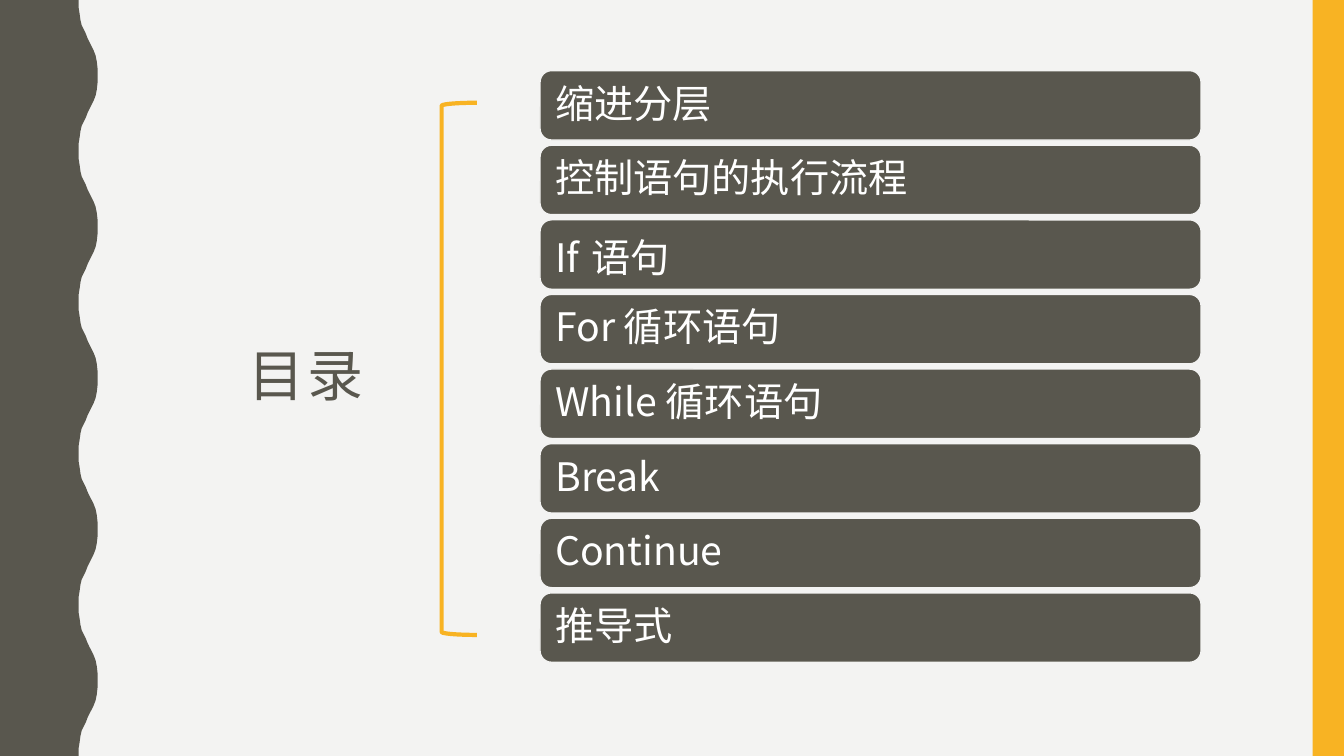
from lxml.etree import SubElement
from pptx import Presentation
from pptx.dml.color import RGBColor
from pptx.enum.shapes import MSO_SHAPE as Preset
from pptx.enum.text import MSO_ANCHOR as Anchor, PP_ALIGN as Align
from pptx.oxml.ns import qn
from pptx.util import Cm, Pt

# Content: each topic is a list of (text, size) runs
TITLE = "目录"
TOPICS = [
    [("缩进分层", 28)],
    [("控制语句的执行流程", 28)],
    [("If", 28), (" ", 39), ("语句", 28)],
    [("For 循环语句", 28)],
    [("While 循环语句", 28)],
    [("Break", 28)],
    [("Continue", 28)],
    [("推导式", 28)],
]

# Style
FONT = "Noto Sans CJK SC"
PAPER = RGBColor(0xF3, 0xF3, 0xF2)
BROWN = RGBColor(0x59, 0x57, 0x4E)
YELLOW = RGBColor(0xF8, 0xB3, 0x23)
WHITE = RGBColor(0xFF, 0xFF, 0xFF)

# Layout in centimetres
WIDTH, HEIGHT = 33.87, 19.05
BAR_LEFT, BAR_TOP, BAR_WIDTH, BAR_HEIGHT, BAR_STEP = 13.61, 1.78, 16.66, 1.75, 1.88
STRIPE_WIDTH = 0.79
WAVE_COUNT = 5
WAVE_LENGTH = HEIGHT / WAVE_COUNT
HALF_WAVE = [
    (1.98, 0), (1.98, 0.18), (2.01, 0.36), (2.03, 0.51), (2.06, 0.64),
    (2.11, 0.74), (2.16, 0.84), (2.21, 0.97), (2.26, 1.07), (2.31, 1.17),
    (2.36, 1.27), (2.41, 1.4), (2.44, 1.55), (2.46, 1.73), (2.46, 1.9),
]


def paint(shape, fill=None, line=None, line_width=1):
    shape.shadow.inherit = False
    if fill is None:
        shape.fill.background()
    else:
        shape.fill.solid()
        shape.fill.fore_color.rgb = fill
    if line is None:
        shape.line.fill.background()
    else:
        shape.line.color.rgb = line
        shape.line.width = Pt(line_width)


def add_preset(preset, left, top, width, height, **style):
    shape = slide.shapes.add_shape(preset, Cm(left), Cm(top), Cm(width), Cm(height))
    paint(shape, **style)
    return shape


def write_text(shape, runs, color, align=Align.LEFT, inset=0.25, spacing=0):
    frame = shape.text_frame
    frame.word_wrap = True
    frame.vertical_anchor = Anchor.MIDDLE
    frame.margin_left = frame.margin_right = Cm(inset)
    frame.margin_top = frame.margin_bottom = Cm(inset)
    paragraph = frame.paragraphs[0]
    paragraph.alignment = align
    paragraph.line_spacing = 0.9
    for text, size in runs:
        run = paragraph.add_run()
        run.text = text
        run.font.size = Pt(size)
        run.font.name = FONT
        run.font.color.rgb = color
        properties = run.font._element
        SubElement(properties, qn("a:ea")).set("typeface", FONT)
        if spacing:
            properties.set("spc", str(spacing * 100))


presentation = Presentation()
presentation.slide_width, presentation.slide_height = Cm(WIDTH), Cm(HEIGHT)
slide = presentation.slides.add_slide(presentation.slide_layouts[6])
slide.background.fill.solid()
slide.background.fill.fore_color.rgb = PAPER

# Wavy left edge: each wave is a half wave and its mirror
wave = HALF_WAVE + [(x, WAVE_LENGTH - y) for x, y in reversed(HALF_WAVE)]
edge = [(x, y + index * WAVE_LENGTH) for index in range(WAVE_COUNT) for x, y in wave]
builder = slide.shapes.build_freeform(0, 0)
builder.add_line_segments([(Cm(x), Cm(y)) for x, y in edge + [(0, HEIGHT)]], close=True)
paint(builder.convert_to_shape(), fill=BROWN)

# Right stripe
add_preset(Preset.RECTANGLE, WIDTH - STRIPE_WIDTH, 0, STRIPE_WIDTH, HEIGHT, fill=YELLOW)

# Title
title = slide.shapes.add_textbox(Cm(4.29), Cm(2.01), Cm(6.86), Cm(15.06))
write_text(title, [(TITLE, 40)], BROWN, align=Align.CENTER, spacing=2)

# Topic bars
for index, runs in enumerate(TOPICS):
    bar = add_preset(Preset.ROUNDED_RECTANGLE, BAR_LEFT, BAR_TOP + index * BAR_STEP,
                     BAR_WIDTH, BAR_HEIGHT, fill=BROWN, line=PAPER)
    write_text(bar, runs, WHITE, inset=0.3)

# Bracket
add_preset(Preset.LEFT_BRACKET, 11.13, 2.59, 0.89, 13.41, line=YELLOW, line_width=3)

presentation.save("out.pptx")
